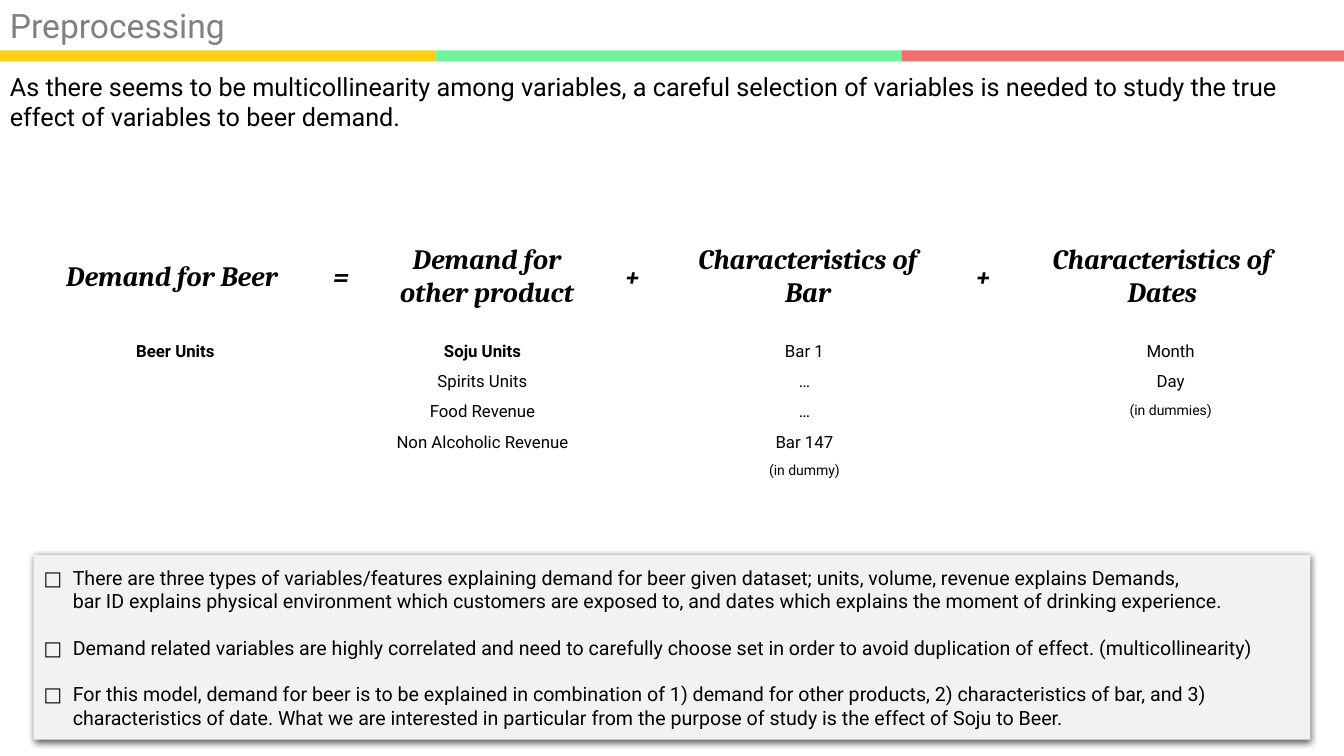
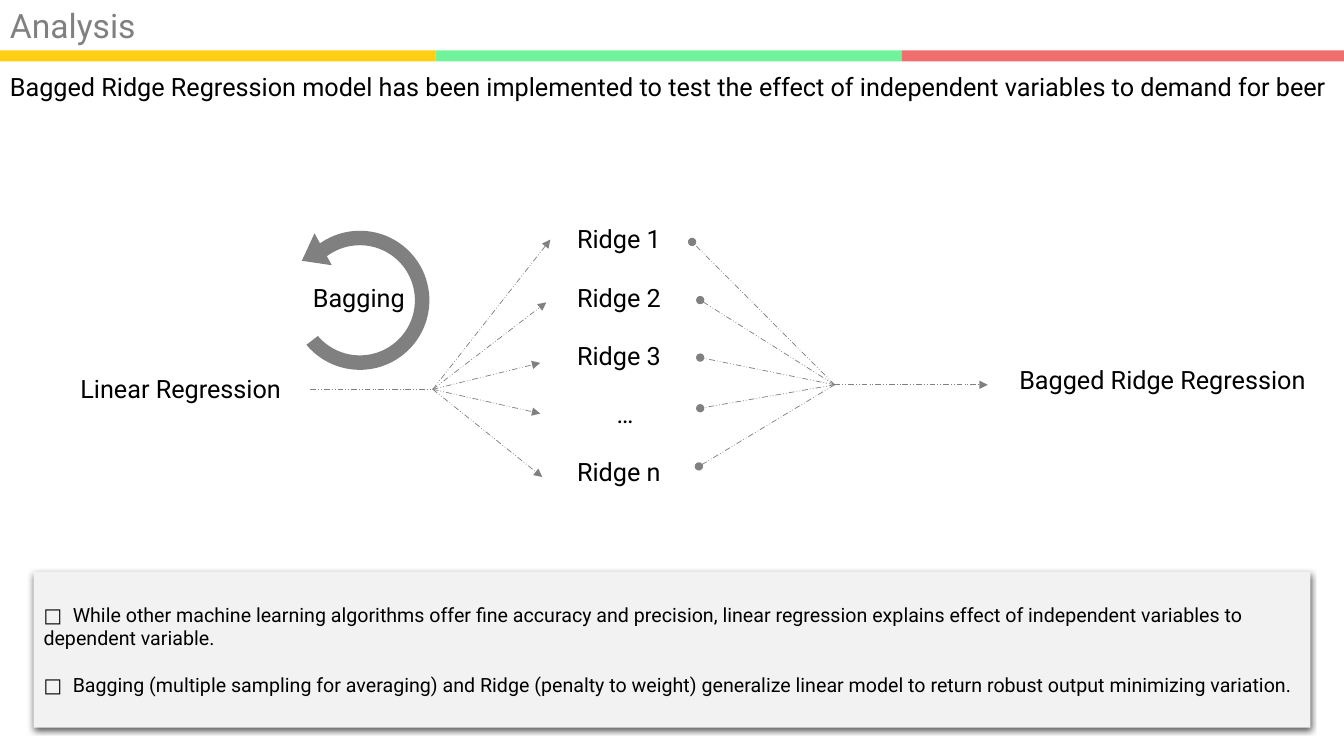
import copy

import lxml.etree
import pptx
import pptx.dml.color
import pptx.enum.dml
import pptx.enum.shapes
import pptx.enum.text
import pptx.oxml.ns
import pptx.util

RGB = pptx.dml.color.RGBColor
SHAPE = pptx.enum.shapes.MSO_SHAPE
ALIGN = pptx.enum.text.PP_ALIGN
ANCHOR = pptx.enum.text.MSO_ANCHOR

# Colours
YELLOW = RGB(0xFF, 0xCF, 0x14)
GREEN = RGB(0x71, 0xF3, 0x9B)
RED = RGB(0xF0, 0x6E, 0x6E)
GRAY = RGB(0x80, 0x80, 0x80)
PALE = RGB(0xF2, 0xF2, 0xF2)
WHITE = RGB(0xFF, 0xFF, 0xFF)
BLACK = RGB(0x00, 0x00, 0x00)

# Text styles; sizes in points
TITLE = dict(name="Roboto", size=24, color=GRAY)
BODY = dict(name="Roboto", size=18, color=BLACK)
TERM = dict(name="Cambria", size=20, bold=True, italic=True, color=BLACK)
CELL = dict(name="Roboto", size=12, bold=False, color=BLACK)
NOTE = dict(name="Roboto", size=14, color=BLACK)

# All positions are percentages of the slide's width and height
SLIDE_W, SLIDE_H = pptx.util.Inches(13.33), pptx.util.Inches(7.5)
BAND_EDGES = (0, 32.4, 67.1, 100)
LINE_H = 5.33


def px(share):
    return round(SLIDE_W * share / 100)


def py(share):
    return round(SLIDE_H * share / 100)


def box(x, y, w, h):
    return px(x), py(y), px(w), py(h)


def add_xml(parent, tag, **attrs):
    return lxml.etree.SubElement(parent, pptx.oxml.ns.qn(tag), attrs)


def style_font(font, style):
    for key, value in style.items():
        if key == "color":
            font.color.rgb = value
        else:
            setattr(font, key, pptx.util.Pt(value) if key == "size" else value)


def fill_text(tf, paragraphs, style, align=ALIGN.LEFT):
    for i, text in enumerate(paragraphs):
        p = tf.add_paragraph() if i else tf.paragraphs[0]
        p.text = text
        p.alignment = align
        for r in p.runs:
            style_font(r.font, style)
        # Line breaks take the size of the text around them
        for br in p._p.findall(pptx.oxml.ns.qn("a:br")):
            br.append(copy.deepcopy(p.runs[0]._r.rPr))


def add_text(s, place, text, style=BODY, align=ALIGN.LEFT, wrap=True, anchor=ANCHOR.TOP):
    tf = s.shapes.add_textbox(*box(*place)).text_frame
    tf.word_wrap = wrap
    tf.vertical_anchor = anchor
    fill_text(tf, text.split("\n"), style, align)


def add_block(s, kind, place, color, rotation=0):
    sp = s.shapes.add_shape(kind, *box(*place))
    sp.shadow.inherit = False
    sp.fill.solid()
    sp.fill.fore_color.rgb = color
    sp.line.fill.background()
    sp.rotation = rotation
    return sp


def add_line(s, start, end, tip=None):
    line = s.shapes.add_connector(
        pptx.enum.shapes.MSO_CONNECTOR.STRAIGHT,
        px(start[0]), py(start[1]), px(end[0]), py(end[1]))
    line.line.color.rgb = GRAY
    line.line.width = pptx.util.Pt(0.5)
    line.line.dash_style = pptx.enum.dml.MSO_LINE.DASH_DOT_DOT
    if tip:
        add_xml(line.line._get_or_add_ln(), "a:tailEnd", type=tip)
    add_xml(line._element.spPr, "a:effectLst")


def add_list_table(s, x, w, rows):
    """One-column table; each row is a text with its changes to the cell style."""
    heights = [3.6 if "size" in change else 4 for _, change in rows]
    frame = s.shapes.add_table(len(rows), 1, *box(x, 44.53, w, sum(heights)))
    table = frame.table
    table.first_row = table.horz_banding = False
    for i, (text, change) in enumerate(rows):
        table.rows[i].height = py(heights[i])
        cell = table.cell(i, 0)
        cell.fill.background()
        cell.margin_left = cell.margin_right = pptx.util.Inches(0.05)
        fill_text(cell.text_frame, [text], {**CELL, **change}, ALIGN.CENTER)


def add_note(s, y, h, items):
    sp = add_block(s, SHAPE.RECTANGLE, (2.5, y, 95, h), PALE)
    # Soft shadow below the panel
    effects = sp._element.spPr.find(pptx.oxml.ns.qn("a:effectLst"))
    shadow = add_xml(effects, "a:outerShdw", blurRad="57150", dist="19050",
                     dir="5400000", algn="ctr", rotWithShape="0")
    add_xml(add_xml(shadow, "a:srgbClr", val="000000"), "a:alpha", val="63000")
    tf = sp.text_frame
    tf.word_wrap = True
    tf.vertical_anchor = ANCHOR.MIDDLE
    fill_text(tf, ["□\t" + item for item in items], NOTE)
    for i, p in enumerate(tf.paragraphs):
        p.space_after = pptx.util.Pt(16.4 if i < len(items) - 1 else 0)
        tabs = add_xml(p._p.get_or_add_pPr(), "a:tabLst")
        add_xml(tabs, "a:tab", pos=str(pptx.util.Inches(0.29)), algn="l")


def new_slide(prs, title, lead, lead_w, lead_h):
    s = prs.slides.add_slide(prs.slide_layouts[6])
    for left, right, color in zip(BAND_EDGES, BAND_EDGES[1:], (YELLOW, GREEN, RED)):
        add_block(s, SHAPE.RECTANGLE, (left, 6.67, right - left, 1.47), color)
    add_text(s, (0, 0, 30.4, 6.67), title, TITLE)
    add_text(s, (0, 8.8, lead_w, lead_h), lead, wrap=False)
    return s


def preprocessing_slide(prs):
    s = new_slide(
        prs, "Preprocessing",
        "As there seems to be multicollinearity among variables, a careful selection "
        "of variables is needed to study the true\veffect of variables to beer demand.",
        97.1, 9.5)

    # Formula: terms and operators run left to right with equal gaps
    formula = (
        ("Demand for Beer", 20.18), ("=", 3), ("Demand for\nother product", 16.65),
        ("+", 3), ("Characteristics of\nBar", 21.08), ("+", 3),
        ("Characteristics of\nDates", 21.6))
    x, gap = 2.7, 1.01
    for text, w in formula:
        add_text(s, (x, 31.2, w, 10.3), text, TERM, ALIGN.CENTER, anchor=ANCHOR.MIDDLE)
        x += w + gap

    # Variables under each term
    plain, bold, small = {}, {"bold": True}, {"size": 10}
    add_list_table(s, 9.3, 7.5, [("Beer Units", bold)])
    add_list_table(s, 27, 17.8, [
        ("Soju Units", bold), ("Spirits Units", plain), ("Food Revenue", plain),
        ("Non Alcoholic Revenue", plain)])
    add_list_table(s, 55.35, 9, [
        ("Bar 1", plain), ("…", plain), ("…", plain), ("Bar 147", plain),
        ("(in dummy)", small)])
    add_list_table(s, 82.6, 9, [
        ("Month", plain), ("Day", plain), ("(in dummies)", small)])

    add_note(s, 73.45, 24.4, [
        "There are three types of variables/features explaining demand for beer given "
        "dataset; units, volume, revenue explains Demands,\v\tbar ID explains physical "
        "environment which customers are exposed to, and dates which explains the "
        "moment of drinking experience.",
        "Demand related variables are highly correlated and need to carefully choose "
        "set in order to avoid duplication of effect. (multicollinearity)",
        "For this model, demand for beer is to be explained in combination of 1) demand "
        "for other products, 2) characteristics of bar, and 3)\v\tcharacteristics of "
        "date. What we are interested in particular from the purpose of study is the "
        "effect of Soju to Beer."])


def analysis_slide(prs):
    s = new_slide(
        prs, "Analysis",
        "Bagged Ridge Regression model has been implemented to test the effect of "
        "independent variables to demand for beer", 99.7, LINE_H)
    add_text(s, (4.8, 48.67, 17.3, LINE_H), "Linear Regression", align=ALIGN.CENTER)

    # Bagging loop: ring, gap in the ring, arrowhead
    ring = add_block(s, SHAPE.DONUT, (21.6, 30.53, 10.35, 18.4), GRAY, 19.8)
    ring.adjustments[0] = 0.104
    add_block(s, SHAPE.RECTANGLE, (20.03, 34.27, 5.7, 9.6), WHITE, 52.2)
    add_block(s, SHAPE.ISOSCELES_TRIANGLE, (21.9, 32.13, 2.7, 3.2), GRAY, 241.6)
    add_text(s, (22.5, 36.67, 8.4, LINE_H), "Bagging", align=ALIGN.CENTER)

    # Ridge models
    for i, name in enumerate(("Ridge 1", "Ridge 2", "Ridge 3", "…", "Ridge n")):
        add_text(s, (42.2, 28.93 + 7.7 * i, 8.63, LINE_H), name,
                 align=ALIGN.CENTER if name == "…" else ALIGN.LEFT)

    # Lines fan out from one hub and meet again at the other
    split, merge = (32.2, 51.5), (62.1, 50.9)
    add_line(s, (23.1, 51.5), split)
    for tip in ((40.95, 31.7), (40.65, 40), (40.2, 48), (40.2, 54.7), (40.35, 63.1)):
        add_line(s, split, tip, "triangle")
    for dot in ((51.5, 32), (52.1, 39.7), (52.1, 47.3), (52.1, 54), (52, 61.7)):
        add_line(s, merge, dot, "oval")
    add_line(s, merge, (73.5, 50.9), "triangle")
    add_text(s, (75.1, 47.47, 24.9, LINE_H), "Bagged Ridge Regression")

    add_note(s, 75.6, 20.65, [
        "While other machine learning algorithms offer fine accuracy and precision, "
        "linear regression explains effect of independent variables to dependent "
        "variable.",
        "Bagging (multiple sampling for averaging) and Ridge (penalty to weight) "
        "generalize linear model to return robust output minimizing variation."])


def main():
    prs = pptx.Presentation()
    prs.slide_width, prs.slide_height = SLIDE_W, SLIDE_H
    preprocessing_slide(prs)
    analysis_slide(prs)
    prs.save("out.pptx")


if __name__ == "__main__":
    main()
